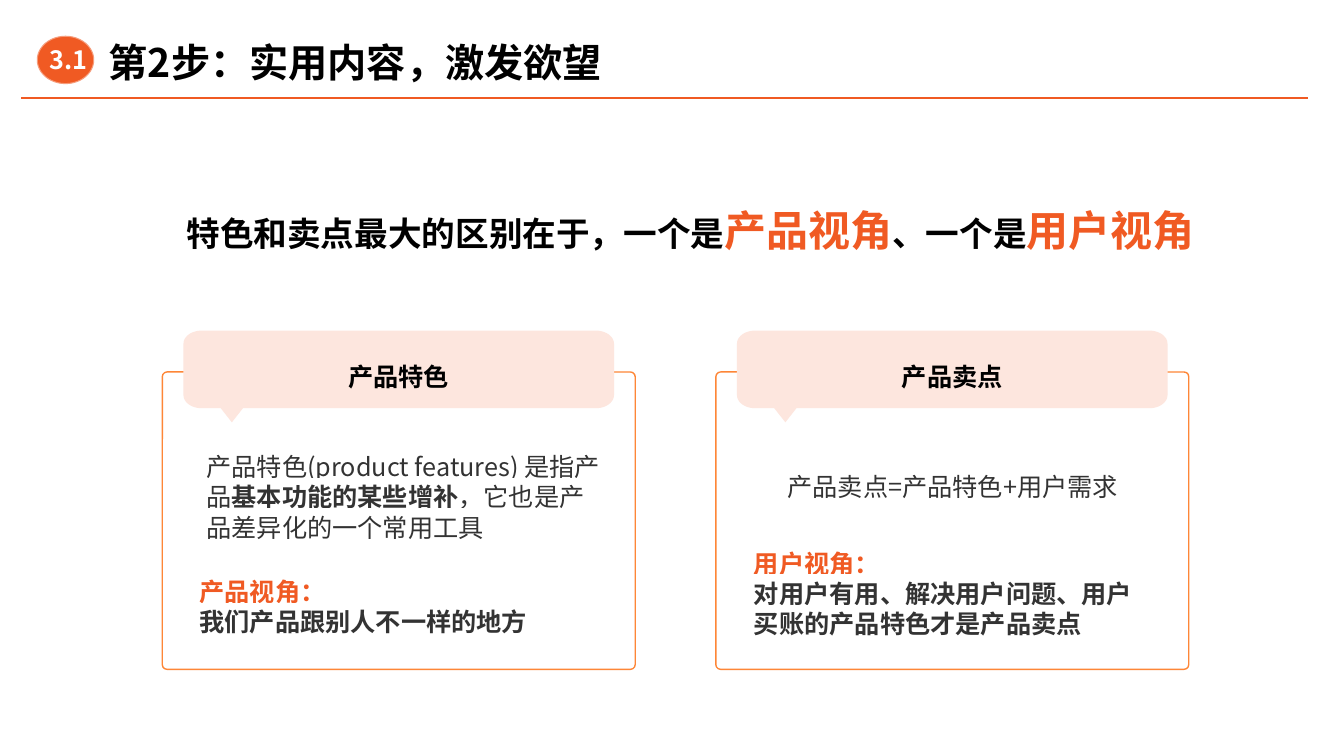
from math import cos, pi, sin

from lxml.etree import SubElement
from pptx import Presentation
from pptx.dml.color import RGBColor
from pptx.enum.shapes import MSO_CONNECTOR as Connector, MSO_SHAPE as Shape
from pptx.enum.text import MSO_ANCHOR as Anchor, PP_ALIGN as Align
from pptx.oxml.ns import qn
from pptx.util import Inches, Pt

FONT = "Noto Sans CJK SC"
COLORS = {
    "orange": "F05A23",
    "badge_edge": "F69C7B",
    "card_edge": "FE8637",
    "peach": "FDE6DE",
    "black": "000000",
    "gray": "333333",
    "white": "FFFFFF",
}


def rgb(name):
    return RGBColor.from_string(COLORS[name])


def inches(*lengths):
    return [Inches(length) for length in lengths]


def write(frame, paragraphs, size, align=Align.LEFT, anchor=Anchor.TOP,
          margin=None, highlight=False):
    """Fill a frame; each paragraph lists (text, colour, font options) runs."""
    frame.word_wrap = True
    frame.vertical_anchor = anchor
    if margin is not None:
        frame.margin_left = frame.margin_right = Inches(margin)
        frame.margin_top = frame.margin_bottom = Inches(margin)
    for index, runs in enumerate(paragraphs):
        paragraph = frame.add_paragraph() if index else frame.paragraphs[0]
        paragraph.alignment = align
        for text, color, options in runs:
            run = paragraph.add_run()
            run.text = text
            font = run.font
            font.size = Pt(options.get("size", size))
            font.bold = options.get("bold", True)
            font.underline = options.get("underline", False)
            font.color.rgb = rgb(color)
            properties = run._r.get_or_add_rPr()
            if highlight:
                mark = SubElement(properties, qn("a:highlight"))
                SubElement(mark, qn("a:srgbClr"), val=COLORS["white"])
            font.name = FONT
            SubElement(properties, qn("a:ea"), typeface=FONT)


def add_text(shapes, box, paragraphs, size, **layout):
    textbox = shapes.add_textbox(*inches(*box))
    write(textbox.text_frame, paragraphs, size, **layout)


def add_header(slide, left, top, number, title):
    rule = slide.shapes.add_connector(
        Connector.STRAIGHT, *inches(left, top + 0.61, left + 12.76, top + 0.61))
    rule.line.color.rgb = rgb("orange")
    rule.line.width = Pt(1.5)
    SubElement(rule._element.spPr, qn("a:effectLst"))

    badge = slide.shapes.add_shape(
        Shape.FLOWCHART_CONNECTOR, *inches(left + 0.16, top, 0.56, 0.47))
    badge.shadow.inherit = False
    badge.fill.solid()
    badge.fill.fore_color.rgb = rgb("orange")
    badge.line.color.rgb = rgb("badge_edge")
    badge.line.width = Pt(0.75)

    add_text(slide.shapes, (left + 0.87, top, 5.64, 0.5),
             [[(title, "black", {})]], 28, anchor=Anchor.MIDDLE, margin=0)
    add_text(slide.shapes, (left + 0.1, top + 0.03, 0.74, 0.4),
             [[(number, "white", {})]], 18, align=Align.CENTER,
             anchor=Anchor.MIDDLE)


def callout_outline(left, top, width, height):
    """Points of a rounded bar with a small pointer under its left end."""
    rx, ry, steps = 0.18, 0.13, 12
    right, bottom = left + width, top + height

    def corner(x, y, start):
        angles = [start + pi / 2 * step / steps for step in range(steps + 1)]
        return [(x + rx * cos(a), y + ry * sin(a)) for a in angles]

    pointer = [(left + 0.59, bottom), (left + 0.48, bottom + 0.14),
               (left + 0.37, bottom)]
    points = (corner(right - rx, top + ry, -pi / 2)
              + corner(right - rx, bottom - ry, 0)
              + pointer
              + corner(left + rx, bottom - ry, pi / 2)
              + corner(left + rx, top + ry, pi))
    return [inches(*point) for point in points]


def add_card(slide, left, top, heading, definition, viewpoint):
    """Place a card; each body is (x offset, y offset, height, align, text)."""
    shapes = slide.shapes.add_group_shape().shapes
    frame = shapes.add_shape(
        Shape.ROUNDED_RECTANGLE, *inches(left, top + 0.41, 4.69, 2.95))
    frame.adjustments[0] = 0.016
    frame.shadow.inherit = False
    frame.fill.background()
    frame.line.color.rgb = rgb("card_edge")
    frame.line.width = Pt(1)

    outline = callout_outline(left + 0.21, top, 4.27, 0.77)
    builder = shapes.build_freeform(*outline[0])
    builder.add_line_segments(outline[1:], close=True)
    callout = builder.convert_to_shape()
    callout.shadow.inherit = False
    callout.fill.solid()
    callout.fill.fore_color.rgb = rgb("peach")
    callout.line.fill.background()
    write(callout.text_frame, [[(heading, "black", {})]], 18,
          align=Align.CENTER, anchor=Anchor.MIDDLE)

    for dx, dy, height, align, paragraphs in (definition, viewpoint):
        add_text(shapes, (left + dx, top + dy, 4.14, height), paragraphs, 18,
                 align=align, highlight=True)


def add_statement(slide, box):
    large = {"size": 30}
    add_text(slide.shapes, box, [[
        ("特色和卖点最大的区别在于，一个是", "black", {}),
        ("产品视角", "orange", large),
        ("、一个是", "black", {}),
        ("用户视角", "orange", large),
    ]], 24, align=Align.CENTER, anchor=Anchor.BOTTOM)


def main():
    deck = Presentation()
    deck.slide_width, deck.slide_height = inches(13.33, 7.5)
    slide = deck.slides.add_slide(deck.slide_layouts[6])

    add_header(slide, 0.21, 0.36, "3.1", "第2步：实用内容，激发欲望")

    plain = {"bold": False}
    feature = [[
        ("产品特色(product features) 是指产品", "gray", plain),
        ("基本功能的某些增补", "gray", {"underline": True}),
        ("，它也是产品差异化的一个常用工具", "gray", plain),
    ]]
    product_view = [
        [("产品视角：", "orange", {})],
        [("我们产品跟别人不一样的地方", "gray", {})],
    ]
    selling_point = [[("产品卖点=产品特色+用户需求", "gray", plain)]]
    user_view = [
        [("用户视角：", "orange", {})],
        [("对用户有用、解决用户问题、用户买账的产品特色才是产品卖点", "gray", {})],
    ]
    add_card(slide, 1.61, 3.28, "产品特色",
             (0.34, 1.15, 0.76, Align.LEFT, feature),
             (0.27, 2.39, 0.53, Align.LEFT, product_view))
    add_card(slide, 7.1, 3.28, "产品卖点",
             (0.28, 1.35, 0.4, Align.CENTER, selling_point),
             (0.28, 2.11, 0.76, Align.LEFT, user_view))

    add_statement(slide, (0.91, 1.97, 11.88, 0.61))
    deck.save("out.pptx")


if __name__ == "__main__":
    main()
